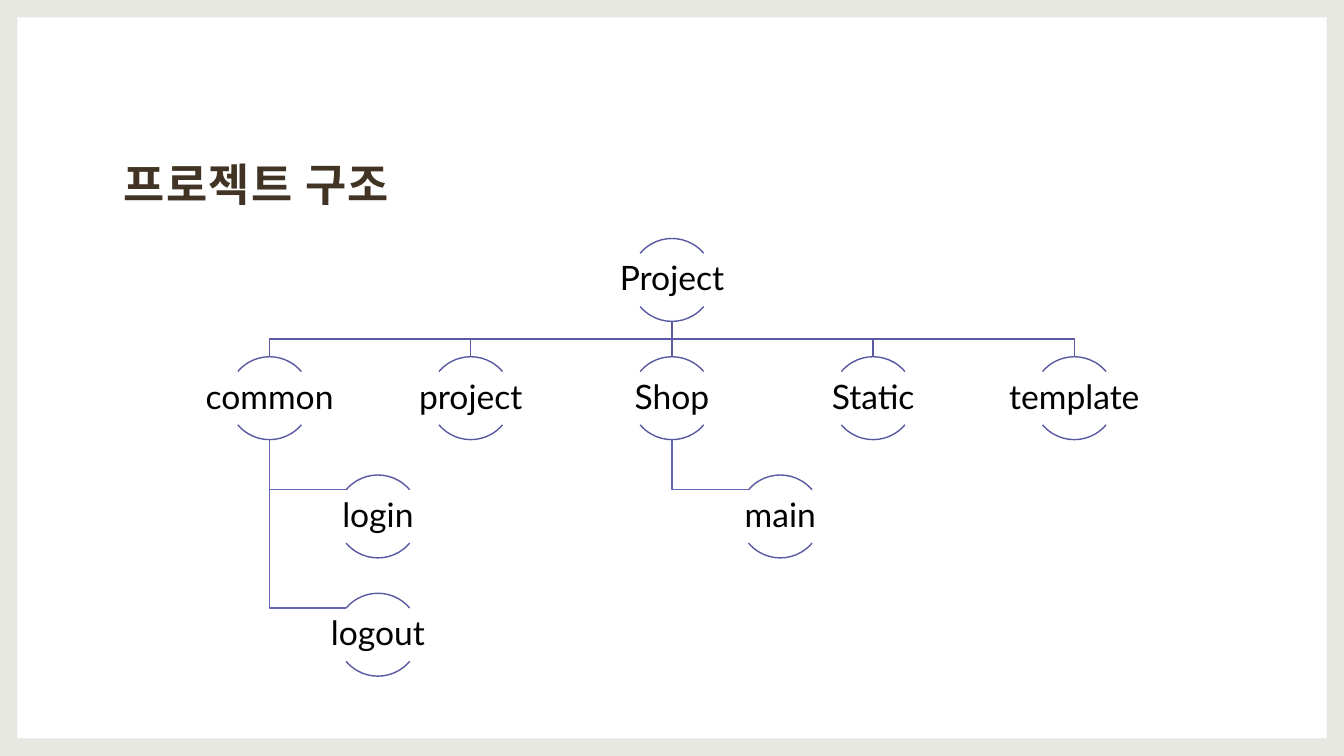
from lxml.etree import SubElement
from pptx import Presentation
from pptx.dml.color import RGBColor
from pptx.enum.shapes import MSO_CONNECTOR, MSO_SHAPE
from pptx.enum.text import MSO_ANCHOR, MSO_AUTO_SIZE, PP_ALIGN
from pptx.oxml.ns import qn
from pptx.util import Cm, Pt

FRAME_GREY = RGBColor(0xE8, 0xE8, 0xE2)
BROWN = RGBColor(0x41, 0x34, 0x24)
BLACK = RGBColor(0, 0, 0)
INDIGO = RGBColor(0x59, 0x59, 0xA2)
VIOLET = RGBColor(0x65, 0x65, 0xB7)

FONT = "Lato"
CIRCLE = Cm(2.09)
COL_STEP = Cm(5.07)
ROW_STEP = Cm(2.98)
CHILD_SHIFT = Cm(2.73)
ARC_REACH = Cm(0.81)
LABEL_DROP = Cm(0.37)
LABEL_HEIGHT = Cm(1.35)
ARC_ANGLES = ((132, 192), (24, 84))

TREE = ("Project", [
    ("common", ["login", "logout"]),
    ("project", []),
    ("Shop", ["main"]),
    ("Static", []),
    ("template", []),
])


def set_text(tf, text, size, color, bold=False, align=PP_ALIGN.LEFT,
             anchor=MSO_ANCHOR.MIDDLE, inset=Cm(0.05), line_spacing=0.9, tracking=None):
    """Fill a text frame with one formatted paragraph."""
    tf.word_wrap = True
    tf.auto_size = MSO_AUTO_SIZE.NONE
    tf.vertical_anchor = anchor
    tf.margin_left = tf.margin_right = tf.margin_top = tf.margin_bottom = inset
    p = tf.paragraphs[0]
    p.alignment = align
    p.line_spacing = line_spacing
    r = p.add_run()
    r.text = text
    r.font.name = FONT
    r.font.size = Pt(size)
    r.font.bold = bold
    r.font.color.rgb = color
    if tracking:
        r.font._element.set("spc", str(tracking))


def add_frame(s, width, height):
    """Draw the pale border around the slide."""
    sp = s.shapes.add_shape(MSO_SHAPE.FRAME, 0, 0, width, height)
    sp.adjustments[0] = Cm(0.44) / height
    sp.shadow.inherit = False
    sp.fill.solid()
    sp.fill.fore_color.rgb = FRAME_GREY
    sp.line.fill.background()


def add_title(s, left, top, width, height):
    """Place and format the title placeholder."""
    title = s.shapes.title
    title.left, title.top, title.width, title.height = left, top, width, height
    set_text(title.text_frame, "프로젝트 구조", 32, BROWN, bold=True,
             anchor=MSO_ANCHOR.BOTTOM, inset=Cm(0.28), line_spacing=1.13, tracking=90)


def add_link(shapes, points, color):
    """Join points with an open line, straight or bent."""
    if len({x for x, y in points}) == 1:
        sp = shapes.add_connector(MSO_CONNECTOR.STRAIGHT, *points[0], *points[-1])
        SubElement(sp._element.spPr, qn("a:effectLst"))
    else:
        builder = shapes.build_freeform(*points[0])
        builder.add_line_segments(points[1:], close=False)
        sp = builder.convert_to_shape()
        sp.fill.background()
        sp.shadow.inherit = False
    sp.line.color.rgb = color
    sp.line.width = Pt(1)


def add_node(shapes, center, top, text):
    """Draw a label between an upper and a lower arc."""
    for start, end in ARC_ANGLES:
        arc = shapes.add_shape(MSO_SHAPE.ARC, center - CIRCLE // 2, top, CIRCLE, CIRCLE)
        arc.adjustments[0], arc.adjustments[1] = start, end
        arc.shadow.inherit = False
        arc.fill.background()
        arc.line.color.rgb = INDIGO
        arc.line.width = Pt(1)
    box = shapes.add_textbox(center - CIRCLE, top + LABEL_DROP, 2 * CIRCLE, LABEL_HEIGHT)
    set_text(box.text_frame, text, 24, BLACK, align=PP_ALIGN.CENTER)


def add_branch(shapes, center, top, name, children):
    """Draw a folder with its children hanging below to the right."""
    add_node(shapes, center, top, name)
    child_center = center + CHILD_SHIFT
    for i, child in enumerate(children, 1):
        child_top = top + i * ROW_STEP
        elbow = child_top + LABEL_DROP
        add_link(shapes, [(center, top + CIRCLE), (center, elbow),
                          (child_center - ARC_REACH, elbow)], VIOLET)
        add_node(shapes, child_center, child_top, child)


def add_tree(s, center, top, tree):
    """Draw the root and its branches centred in one row beneath it."""
    shapes = s.shapes.add_group_shape().shapes
    root, branches = tree
    root_bottom, branch_top = top + CIRCLE, top + ROW_STEP
    middle = (root_bottom + branch_top) // 2
    for i, (name, children) in enumerate(branches):
        x = center + int((i - (len(branches) - 1) / 2) * COL_STEP)
        add_link(shapes, [(center, root_bottom), (center, middle),
                          (x, middle), (x, branch_top)], INDIGO)
        add_branch(shapes, x, branch_top, name, children)
    add_node(shapes, center, top, root)


def main():
    """Build and save the slide."""
    prs = Presentation()
    prs.slide_width, prs.slide_height = Cm(33.87), Cm(19.05)
    s = prs.slides.add_slide(prs.slide_layouts[5])
    add_frame(s, prs.slide_width, prs.slide_height)
    add_title(s, Cm(2.84), Cm(2.01), Cm(28.14), Cm(3.58))
    add_tree(s, prs.slide_width // 2, Cm(6.01), TREE)
    prs.save("out.pptx")


if __name__ == "__main__":
    main()
